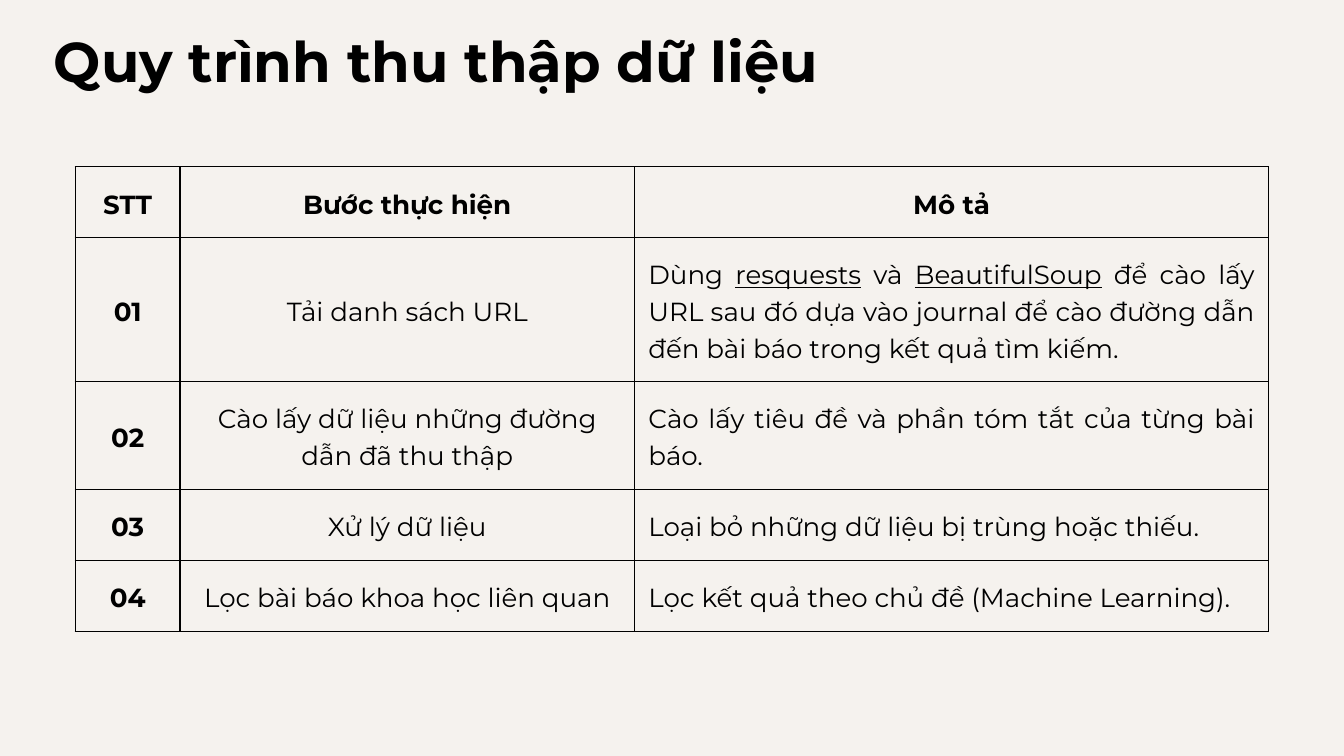
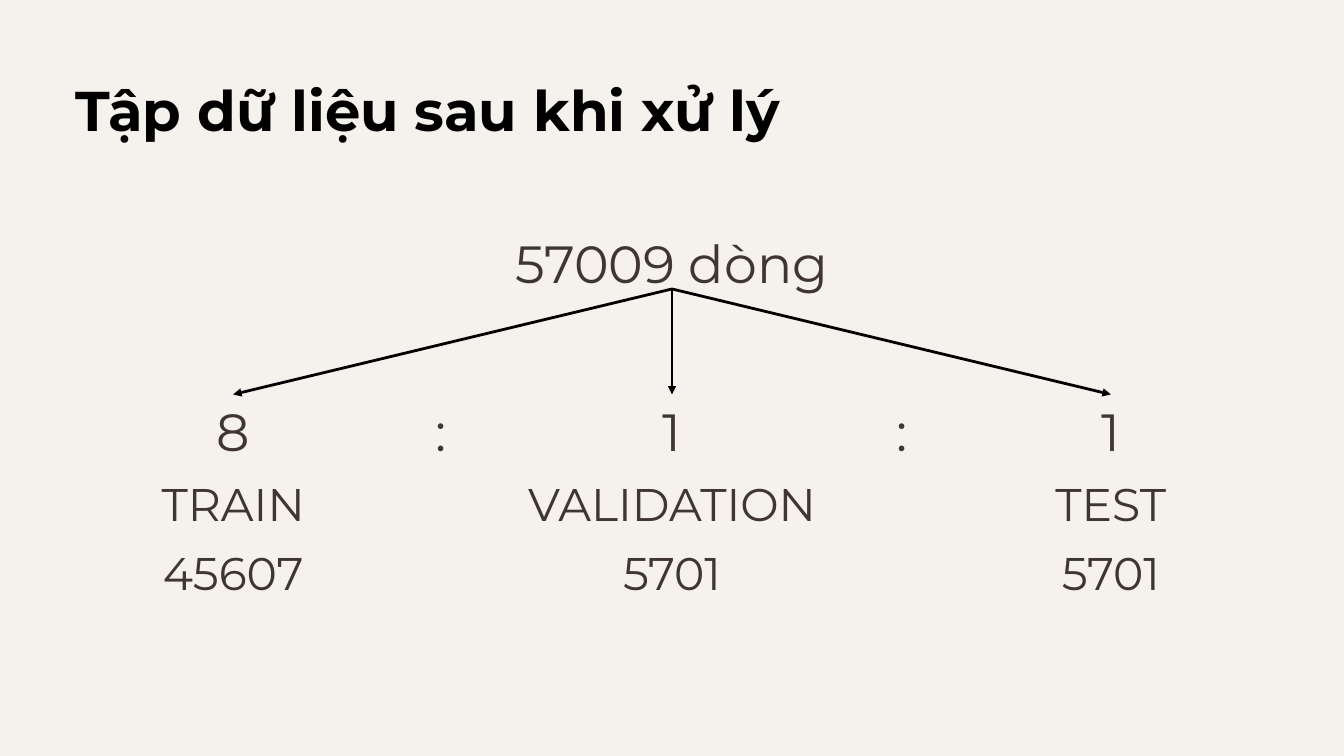
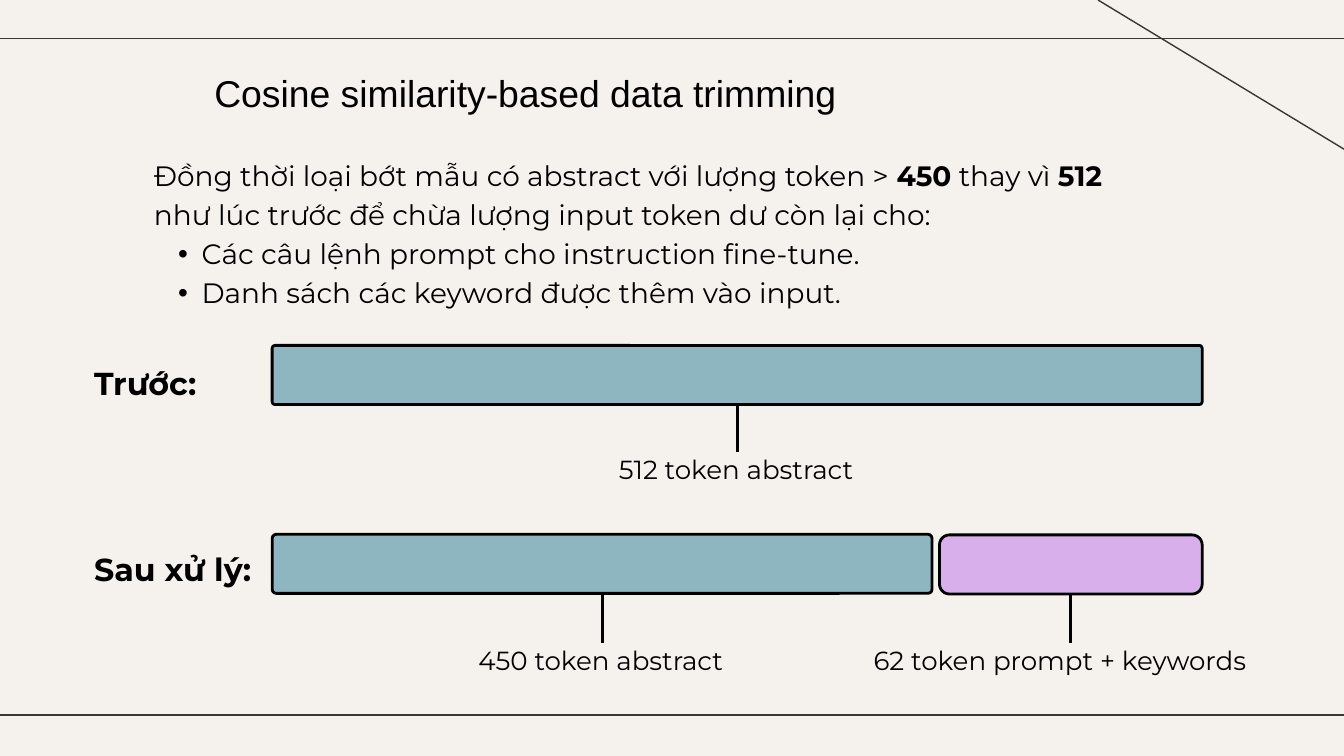
from lxml import etree
from pptx import Presentation
from pptx.dml.color import RGBColor
from pptx.enum.shapes import MSO_CONNECTOR, MSO_SHAPE
from pptx.enum.text import MSO_ANCHOR, MSO_AUTO_SIZE, PP_ALIGN
from pptx.oxml import parse_xml
from pptx.oxml.ns import nsdecls, qn
from pptx.util import Inches, Pt

LEFT, MID, JUST = PP_ALIGN.LEFT, PP_ALIGN.CENTER, PP_ALIGN.JUSTIFY
TOP, CENTER = MSO_ANCHOR.TOP, MSO_ANCHOR.MIDDLE
FIXED = MSO_AUTO_SIZE.NONE
ROUND = MSO_SHAPE.ROUNDED_RECTANGLE
LINE = MSO_CONNECTOR.STRAIGHT

CREAM = RGBColor(0xF5, 0xF2, 0xEE)
BLACK = RGBColor(0, 0, 0)
BROWN = RGBColor(0x3F, 0x35, 0x33)
TEAL = RGBColor(0x8D, 0xB6, 0xC0)
LILAC = RGBColor(0xD8, 0xAF, 0xEB)

SIDES = ("left", "top", "right", "bottom")
HEAD = dict(size=60, lead=1.2, bold=True)


def write(part, lines, size, at=None, rest=None, lead=1.4, align=LEFT,
          color=BLACK, bold=False, font="Montserrat", mark="bold"):
    """Fill a cell, or a shape placed at `at`; text between bars gets `mark`.

    Lines after the first take the size `rest`.
    """
    frame = part.text_frame
    if at:
        part.left, part.top, part.width, part.height = map(Inches, at)
        frame.word_wrap, frame.auto_size = True, FIXED
        frame.vertical_anchor = TOP
        for side in SIDES:
            setattr(frame, f"margin_{side}", 0)
    for i, line in enumerate(lines):
        para = frame.add_paragraph() if i else frame.paragraphs[0]
        points = rest if i and rest else size
        para.alignment = align
        para.line_spacing = Pt(points * lead)
        for j, piece in enumerate(line.split("|")):
            run = para.add_run()
            run.text = piece
            run.font.color.rgb = color
            look = {"name": font, "size": Pt(points), "bold": bold}
            if j % 2:
                look[mark] = True
            for name, value in look.items():
                setattr(run.font, name, value)
    return part


def link(slide, start, end, color=BLACK, width=3):
    wire = slide.shapes.add_connector(LINE, *map(Inches, start + end))
    wire.line.color.rgb = color
    wire.line.width = Pt(width)
    etree.SubElement(wire._element.spPr, qn("a:effectLst"))
    return wire


deck = Presentation()
deck.slide_width, deck.slide_height = Inches(20), Inches(11.25)
fill = deck.slide_master.background.fill
fill.solid()
fill.fore_color.rgb = CREAM
plain = deck.slide_layouts.get_by_name("Title Only")
steps, split, trim = [deck.slides.add_slide(plain) for _ in range(3)]

# Collection steps
write(steps.shapes.title, ["Quy trình thu thập dữ liệu"],
      at=(0.8, 0.4, 16.68, 1), align=JUST, **HEAD)

ROWS = [
    ("STT", "Bước thực hiện", "Mô tả"),
    ("01", "Tải danh sách URL",
     "Dùng |resquests| và |BeautifulSoup| để cào lấy URL sau đó dựa vào "
     "journal để cào đường dẫn đến bài báo trong kết quả tìm kiếm."),
    ("02", "Cào lấy dữ liệu những đường dẫn đã thu thập",
     "Cào lấy tiêu đề và phần tóm tắt của từng bài báo."),
    ("03", "Xử lý dữ liệu", "Loại bỏ những dữ liệu bị trùng hoặc thiếu."),
    ("04", "Lọc bài báo khoa học liên quan",
     "Lọc kết quả theo chủ đề (Machine Learning)."),
]
grid = steps.shapes.add_table(5, 3, Inches(1.12), Inches(2.48),
                              Inches(17.76), Inches(6.92)).table
grid.first_row = grid.horz_banding = False
for col, wide in zip(grid.columns, (1.56, 6.76, 9.44)):
    col.width = Inches(wide)
for row, high in zip(grid.rows, (1.06, 2.14, 1.6, 1.06, 1.06)):
    row.height = Inches(high)
for r, texts in enumerate(ROWS):
    for c, text in enumerate(texts):
        cell = grid.cell(r, c)
        write(cell, [text], 28, align=JUST if r and c == 2 else MID,
              bold=r == 0 or c == 0, mark="underline")
        cell.vertical_anchor = CENTER
        for side in SIDES:
            setattr(cell, f"margin_{side}", Inches(0.21))
        for edge in "LRTB":
            cell._tc.get_or_add_tcPr().append(parse_xml(
                f'<a:ln{edge} {nsdecls("a")} w="{Pt(1.5)}"><a:solidFill>'
                f'<a:srgbClr val="{BLACK}"/></a:solidFill></a:ln{edge}>'))
        cell.fill.background()

# Data split
write(split.shapes.title, ["Tập dữ liệu sau khi xử lý"],
      at=(1.12, 1.12, 17.17, 1), **HEAD)
ratio = dict(size=56, rest=49, lead=1.5, align=MID, color=BROWN)
total = write(split.shapes.add_textbox(0, 0, 0, 0), ["57009 dòng"],
              at=(6.92, 3.21, 6.16, 1.09), **ratio)
for left in (5.92, 12.78):
    write(split.shapes.add_textbox(0, 0, 0, 0), [":"],
          at=(left, 5.71, 1.29, 1.09), **ratio)
PARTS = [
    (3.47, 3.94, ["8", "TRAIN", "45607"]),
    (10, 4.6, ["1", "VALIDATION", "5701"]),
    (16.53, 3.94, ["1", "TEST", "5701"]),
]
for mid, wide, lines in PARTS:
    write(split.shapes.add_textbox(0, 0, 0, 0), lines,
          at=(mid - wide / 2, 5.71, wide, 4.14), **ratio)
    arrow = link(split, (10, 4.3), (mid, 5.87))
    arrow.begin_connect(total, 2)
    etree.SubElement(arrow.line._get_or_add_ln(), qn("a:tailEnd"),
                     type="triangle")

# Token trimming
write(trim.shapes.title, ["Cosine similarity-based data trimming"], 40,
      at=(1.12, 1.04, 13.39, 0.74), lead=1.2, align=MID, font="Arial")
notes = write(trim.shapes.add_textbox(0, 0, 0, 0), [
    "Đồng thời loại bớt mẫu có abstract với lượng token > |450| thay vì |512|"
    " như lúc trước để chừa lượng input token dư còn lại cho:",
    "Các câu lệnh prompt cho instruction fine-tune.",
    "Danh sách các keyword được thêm vào input.",
], 30, at=(2.29, 2.27, 14.48, 2.26))
for para in notes.text_frame.paragraphs[1:]:
    props = para._p.get_or_add_pPr()
    props.set("marL", str(Inches(0.71)))
    props.set("indent", str(Inches(-0.35)))
    etree.SubElement(props, qn("a:buFont"), typeface="Arial")
    etree.SubElement(props, qn("a:buChar"), char="•")

for top, wide, text in ((5.32, 1.54, "Trước:"), (8.09, 2.34, "Sau xử lý:")):
    write(trim.shapes.add_textbox(0, 0, 0, 0), [text], 34,
          at=(1.4, top, wide, 0.63), bold=True)

# Bar left, top, width, corner, colour; caption left, top, width, text
BARS = [
    (4.05, 5.14, 13.84, 0.05, TEAL, 9.21, 6.67, 3.52, "512 token abstract"),
    (4.05, 7.95, 9.82, 0.07, TEAL, 7.12, 9.51, 3.67, "450 token abstract"),
    (13.98, 7.96, 3.91, 0.17, LILAC, 13, 9.51, 5.59,
     "62 token prompt + keywords"),
]
for left, top, wide, bend, color, x, y, span, text in BARS:
    bar = trim.shapes.add_shape(ROUND, *map(Inches, (left, top, wide, 0.88)))
    bar.adjustments[0] = bend
    bar.shadow.inherit = False
    bar.fill.solid()
    bar.fill.fore_color.rgb = color
    bar.line.color.rgb = BLACK
    bar.line.width = Pt(3)
    write(trim.shapes.add_textbox(0, 0, 0, 0), [text], 28,
          at=(x, y, span, 0.52))
    mid = left + wide / 2
    link(trim, (mid, top + 0.88), (mid, y + 0.06)).begin_connect(bar, 2)

for start, end in (((0, 0.57), (20, 0.57)), ((0, 10.64), (20, 10.64)),
                   ((16.34, 0), (20, 2.22))):
    link(trim, start, end, BROWN, 1.5)

deck.save("out.pptx")
